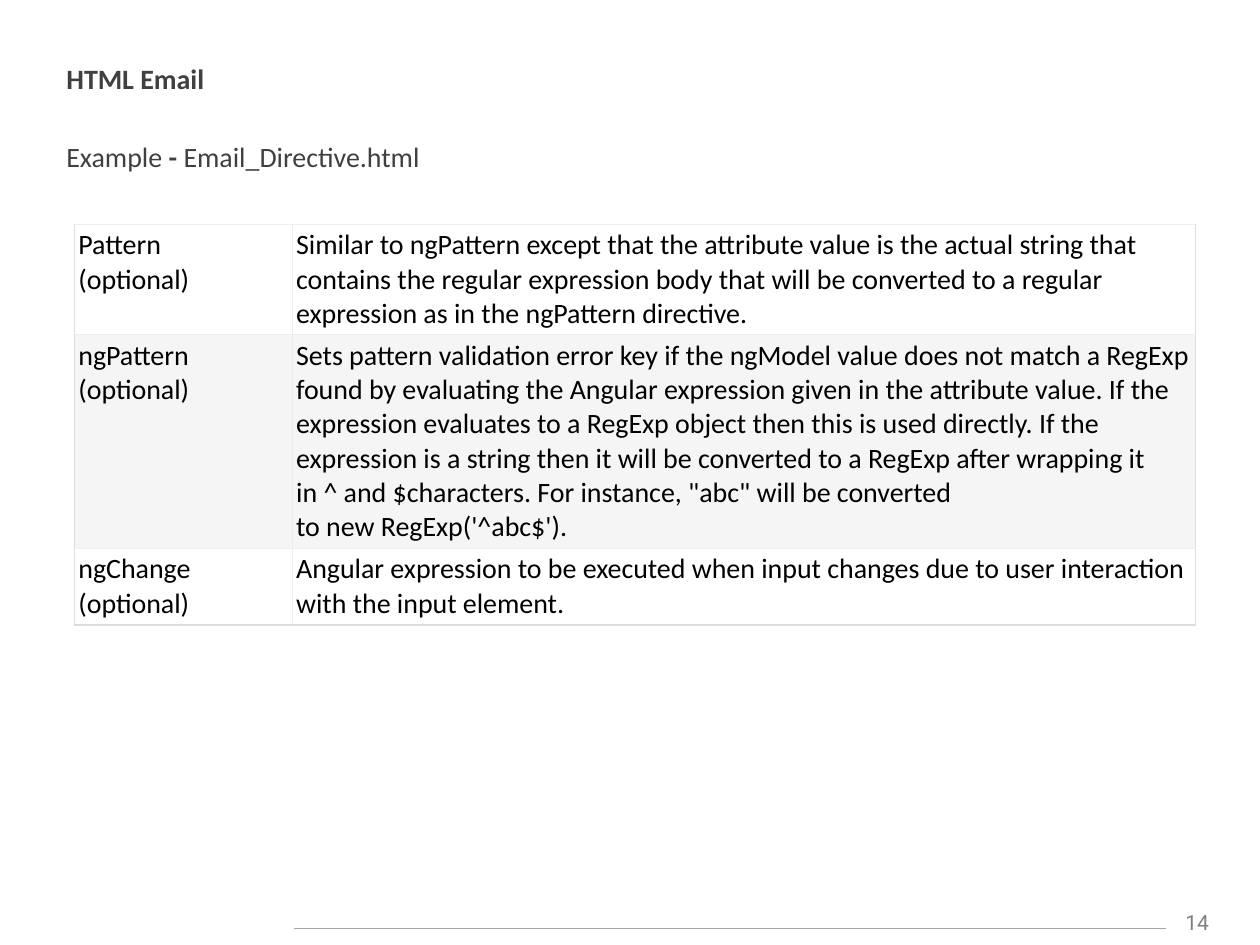
from lxml.etree import SubElement
from pptx import Presentation
from pptx.dml.color import RGBColor
from pptx.enum.shapes import MSO_CONNECTOR
from pptx.enum.text import PP_ALIGN
from pptx.oxml.ns import qn
from pptx.util import Cm, Pt

BLACK = RGBColor(0x00, 0x00, 0x00)
WHITE = RGBColor(0xFF, 0xFF, 0xFF)
STRIPE = RGBColor(0xF5, 0xF5, 0xF5)
DARK_GREY = RGBColor(0x40, 0x40, 0x40)
NUMBER_GREY = RGBColor(0x80, 0x80, 0x80)
RULE_GREY = RGBColor(0xA6, 0xA6, 0xA6)
INNER_BORDER = RGBColor(0xEE, 0xEE, 0xEE)
OUTER_BORDER = RGBColor(0xDD, 0xDD, 0xDD)

HEADING = [("HTML Email", True)]
EXAMPLE = [("Example ", False), ("- ", True), ("Email_Directive.html", False)]
PAGE_NUMBER = "14"

# "~" marks a no-break space
ATTRIBUTES = [
    ("Pattern",
     "Similar to~ngPattern~except that the attribute value is the actual string "
     "that contains the regular expression body that will be converted to a "
     "regular expression as in the ngPattern directive."),
    ("ngPattern",
     "Sets~pattern~validation error key if the ngModel value does not match a "
     "RegExp found by evaluating the Angular expression given in the attribute "
     "value. If the expression evaluates to a RegExp object then this is used "
     "directly. If the expression is a string then it will be converted to a "
     "RegExp after wrapping it in~^~and~$characters. For instance,~\"abc\"~will "
     "be converted to~new~RegExp('^abc$')."),
    ("ngChange",
     "Angular expression to be executed when input changes due to user "
     "interaction with the input element."),
]
COLUMN_WIDTHS = [Cm(4.39), Cm(18.21)]
ROW_HEIGHTS = [Cm(2.23), Cm(4.3), Cm(1.55)]

BODY_FONT = {"name": "Calibri", "size": Pt(16)}
NUMBER_FONT = {"name": "Roboto", "size": Pt(12)}
CELL_MARGINS = dict.fromkeys(
    ("margin_left", "margin_top", "margin_right", "margin_bottom"), Cm(0.08))


def set_values(target, values):
    for name, value in values.items():
        setattr(target, name, value)


def add_run(paragraph, text, font_values, color, bold=False):
    run = paragraph.add_run()
    run.text = text
    set_values(run.font, {**font_values, "bold": bold})
    run.font.color.rgb = color


def add_text_frame(slide, left, top, width, height):
    text_frame = slide.shapes.add_textbox(left, top, width, height).text_frame
    text_frame.word_wrap = True
    return text_frame


def set_borders(cell, colors):
    """Put the border lines, keyed by side, ahead of the cell's fill."""
    properties = cell._tc.get_or_add_tcPr()
    for position, (side, color) in enumerate(colors.items()):
        line = SubElement(properties, qn(f"a:ln{side}"), w=str(Pt(0.75)))
        fill = SubElement(line, qn("a:solidFill"))
        SubElement(fill, qn("a:srgbClr"), val=str(color))
        properties.insert(position, line)


def add_page_number(slide):
    rule = slide.shapes.add_connector(
        MSO_CONNECTOR.STRAIGHT, Cm(5.92), Cm(18.72), Cm(23.5), Cm(18.72))
    rule.line.color.rgb = RULE_GREY
    rule.line.width = Pt(0.75)
    SubElement(rule._element.spPr, qn("a:effectLst"))

    paragraph = add_text_frame(
        slide, Cm(23.5), Cm(18.21), Cm(1.27), Cm(0.77)).paragraphs[0]
    paragraph.alignment = PP_ALIGN.CENTER
    add_run(paragraph, PAGE_NUMBER, NUMBER_FONT, NUMBER_GREY)


def add_heading(slide):
    text_frame = add_text_frame(slide, Cm(1.09), Cm(1.12), Cm(23.88), Cm(16.2))
    example = text_frame.add_paragraph()
    example.space_before = Pt(25)
    for paragraph, runs in ((text_frame.paragraphs[0], HEADING), (example, EXAMPLE)):
        for text, bold in runs:
            add_run(paragraph, text, BODY_FONT, DARK_GREY, bold)


def add_attribute_table(slide):
    last_row, last_column = len(ATTRIBUTES) - 1, len(COLUMN_WIDTHS) - 1
    table = slide.shapes.add_table(
        len(ATTRIBUTES), len(COLUMN_WIDTHS), Cm(1.5), Cm(4.52),
        sum(COLUMN_WIDTHS), sum(ROW_HEIGHTS)).table
    set_values(table, {"first_row": False, "horz_banding": False})
    for column, width in zip(table.columns, COLUMN_WIDTHS):
        column.width = width
    for row, height in zip(table.rows, ROW_HEIGHTS):
        row.height = height

    for row_index, (name, description) in enumerate(ATTRIBUTES):
        for column_index, lines in enumerate([(name, "(optional)"), (description,)]):
            cell = table.cell(row_index, column_index)
            set_values(cell, CELL_MARGINS)
            cell.fill.solid()
            cell.fill.fore_color.rgb = STRIPE if row_index % 2 else WHITE
            set_borders(cell, {
                "L": OUTER_BORDER if column_index == 0 else INNER_BORDER,
                "R": OUTER_BORDER if column_index == last_column else INNER_BORDER,
                "T": INNER_BORDER,
                "B": OUTER_BORDER if row_index == last_row else INNER_BORDER,
            })
            for line_index, line in enumerate(lines):
                text_frame = cell.text_frame
                paragraph = (text_frame.add_paragraph() if line_index
                             else text_frame.paragraphs[0])
                add_run(paragraph, line.replace("~", chr(160)), BODY_FONT, BLACK)


def main():
    presentation = Presentation()
    presentation.slide_width, presentation.slide_height = Cm(25.4), Cm(19.05)
    slide = presentation.slides.add_slide(presentation.slide_layouts[6])
    add_page_number(slide)
    add_heading(slide)
    add_attribute_table(slide)
    presentation.save("out.pptx")


if __name__ == "__main__":
    main()
